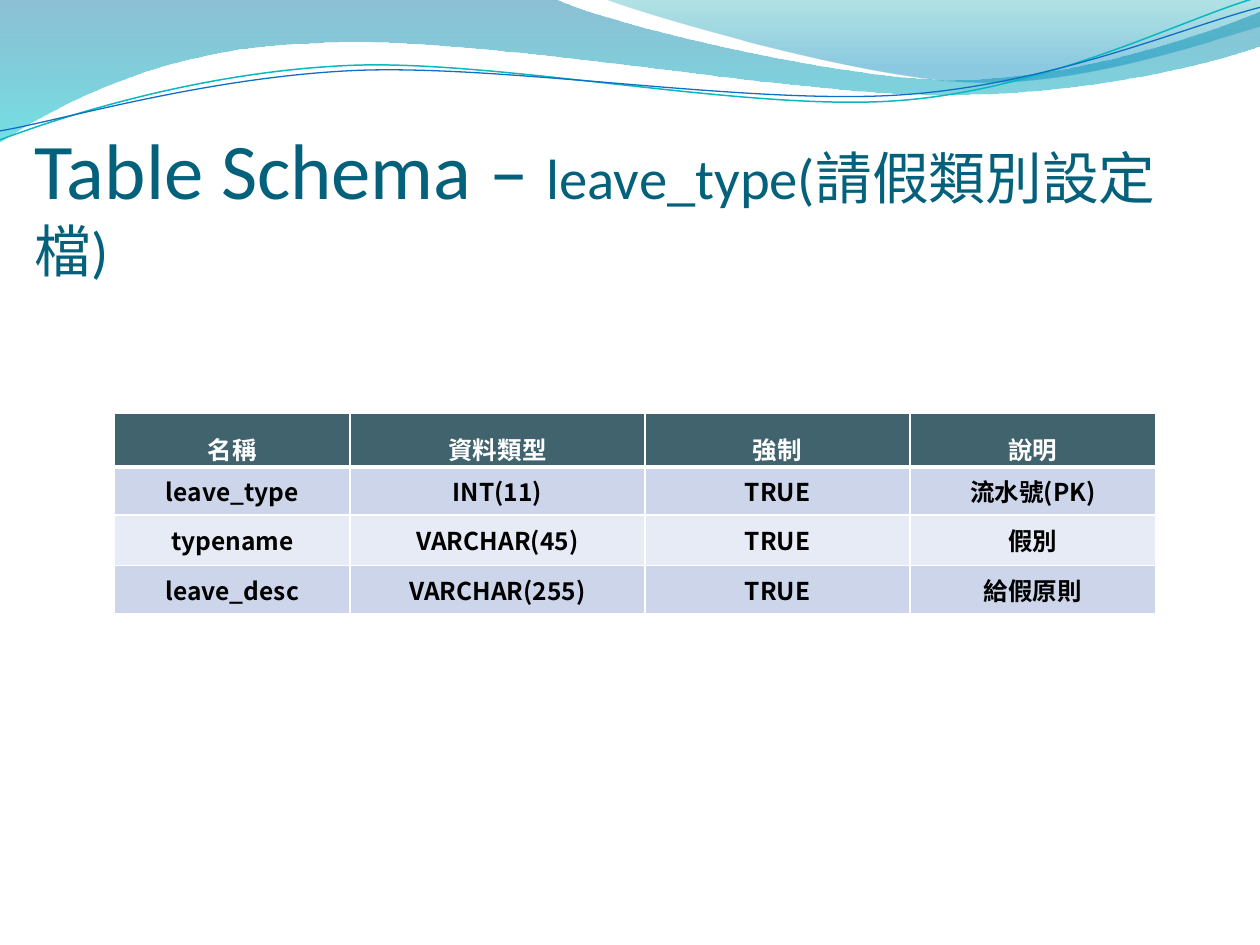
from dataclasses import dataclass
from typing import Optional

from lxml.etree import SubElement
from pptx import Presentation
from pptx.dml.color import RGBColor
from pptx.enum.text import MSO_ANCHOR as Anchor, PP_ALIGN as Align
from pptx.oxml import parse_xml
from pptx.oxml.ns import nsdecls, qn
from pptx.util import Cm, Pt

COLORS = {
    "title": "04617B", "header": "02303E", "white": "FFFFFF", "black": "000000",
    "band_dark": "CCD5EA", "band_light": "E7EBF5",
    "deep": "0074A1", "cyan": "00C6CF", "teal": "00A1A9", "sky": "008BBF",
    "teal_line": "0AB8BF", "blue_line": "0F6FC6",
}


@dataclass
class Stop:
    position: int
    color: str
    opacity: int


@dataclass
class Wave:
    """Start point in cm, then segments: one point is a line, three are a curve."""
    start: tuple
    segments: list
    stops: Optional[list] = None
    line_color: str = ""
    line_width: float = 0


WAVES = [
    Wave((0, 0), [
        [(11.18, -0.03)],
        [(12.09, 0.43), (16.87, 1.6), (19.25, 1.6)],
        [(21.67, 1.6), (24.33, 0.66), (25.4, 0.23)],
        [(25.43, 0.91)],
        [(24.97, 1.12), (22.1, 1.93), (18.95, 1.91)],
        [(15.8, 1.91), (9.7, 0.71), (6.53, 0.86)],
        [(3.28, 0.91), (1.17, 2.11), (-0.03, 2.87)],
        [(0, 0)],
    ], stops=[Stop(0, "deep", 45), Stop(100, "cyan", 55)]),
    Wave((12.17, -0.03), [
        [(12.93, 0.28), (17.32, 1.57), (19.53, 1.65)],
        [(21.74, 1.75), (24.41, 0.81), (25.4, 0.53)],
        [(25.4, 0)],
        [(12.17, -0.03)],
    ], stops=[Stop(0, "teal", 30), Stop(80, "sky", 45)]),
    Wave((0, 2.82), [
        [(1.22, 2.36), (4.01, 1.45), (7.04, 1.32)],
        [(10.03, 1.19), (15.06, 2.26), (18.11, 2.03)],
        [(21.16, 1.8), (23.83, 0.38), (25.35, -0.05)],
    ], line_color="teal_line", line_width=0.85),
    Wave((0, 2.64), [
        [(1.19, 2.44), (4.17, 1.55), (7.19, 1.42)],
        [(10.24, 1.3), (15.16, 2.13), (18.21, 1.91)],
        [(21.23, 1.7), (23.9, 0.53), (25.4, 0.15)],
    ], line_color="blue_line", line_width=0.75),
]

COLUMN_WIDTHS = [4.75, 5.94, 5.35, 4.95]
ROW_HEIGHTS = [0.99, 0.61, 1.01, 0.61]
ROWS = [
    ("名稱", "資料類型", "強制", "說明"),
    ("leave_type", "INT(11)", "TRUE", "流水號(PK)"),
    ("typename", "VARCHAR(45)", "TRUE", "假別"),
    ("leave_desc", "VARCHAR(255)", "TRUE", "給假原則"),
]


def color(name: str) -> RGBColor:
    return RGBColor.from_string(COLORS[name])


def apply_format(target, values: dict) -> None:
    for name, value in values.items():
        setattr(target, name, value)


def add_span(para, text: str, font: str, size: float, color_name: str, bold: bool) -> None:
    span = para.add_run()
    span.text = text
    apply_format(span.font, {"name": font, "size": Pt(size), "bold": bold})
    span.font.color.rgb = color(color_name)


def bend_segments(shape, segments: list) -> None:
    """Turn the straight pieces of an outline into cubic curves."""
    lines = list(shape._element.iter(qn("a:lnTo")))
    for line, segment in zip(lines, segments):
        if len(segment) == 3:
            points = "".join(f'<a:pt x="{Cm(x) - shape.left}" y="{Cm(y) - shape.top}"/>'
                             for x, y in segment)
            curve = parse_xml(f'<a:cubicBezTo {nsdecls("a")}>{points}</a:cubicBezTo>')
            line.getparent().replace(line, curve)


def set_gradient(shape, stops: list) -> None:
    """Vertical gradient with transparent stops."""
    shape.fill.gradient()
    old = shape._element.spPr.find(qn("a:gradFill"))
    items = "".join(
        f'<a:gs pos="{stop.position * 1000}"><a:srgbClr val="{COLORS[stop.color]}">'
        f'<a:alpha val="{stop.opacity * 1000}"/></a:srgbClr></a:gs>' for stop in stops)
    new = parse_xml(f'<a:gradFill {nsdecls("a")} rotWithShape="1"><a:gsLst>{items}</a:gsLst>'
                    '<a:lin ang="5400000" scaled="0"/></a:gradFill>')
    old.getparent().replace(old, new)


def draw_wave(page, wave: Wave) -> None:
    anchors = [wave.start] + [segment[-1] for segment in wave.segments]
    start, *others = [(Cm(x), Cm(y)) for x, y in anchors]
    builder = page.shapes.build_freeform(*start)
    builder.add_line_segments(others, close=bool(wave.stops))
    shape = builder.convert_to_shape()
    bend_segments(shape, wave.segments)
    shape.shadow.inherit = False
    if wave.stops:
        set_gradient(shape, wave.stops)
        shape.line.fill.background()
    else:
        shape.fill.background()
        shape.line.color.rgb = color(wave.line_color)
        shape.line.width = Pt(wave.line_width)


def draw_title(page) -> None:
    box = page.shapes.title
    page.shapes._spTree.append(box._element)  # in front of the waves
    apply_format(box, {"left": Cm(0.7), "top": Cm(2.54),
                       "width": Cm(24), "height": Cm(3.18)})
    apply_format(box.text_frame, {
        "margin_left": 0, "margin_right": 0, "margin_top": Cm(0.13), "margin_bottom": 0,
        "vertical_anchor": Anchor.BOTTOM, "word_wrap": True})
    para = box.text_frame.paragraphs[0]
    para.alignment = Align.LEFT
    for text, size in (("Table Schema – ", 45), ("leave_type(請假類別設定檔)", 32.4)):
        add_span(para, text, "Calibri", size, "title", False)


def set_borders(cell, bottom_width: float) -> None:
    properties = cell._tc.get_or_add_tcPr()
    for side, width in (("L", 1), ("R", 1), ("T", 1), ("B", bottom_width)):
        line = SubElement(properties, qn(f"a:ln{side}"), w=str(Pt(width)))
        fill = SubElement(line, qn("a:solidFill"))
        SubElement(fill, qn("a:srgbClr"), val=COLORS["white"])


def format_cell(cell, text: str, row: int) -> None:
    header = row == 0
    set_borders(cell, 3 if header else 1)
    cell.fill.solid()
    para = cell.text_frame.paragraphs[0]
    para.alignment = Align.CENTER
    if header:
        cell.fill.fore_color.rgb = color("header")
        paint = cell._tc.tcPr.find(qn("a:solidFill")).find(qn("a:srgbClr"))
        SubElement(paint, qn("a:alpha"), val="75000")
        apply_format(cell, {"margin_left": Cm(0.2), "margin_right": Cm(0.2),
                            "margin_top": 0, "margin_bottom": 0})
        para.line_spacing = 1.5
        add_span(para, text, "Calibri", 14, "white", True)
    else:
        cell.fill.fore_color.rgb = color("band_dark" if row % 2 else "band_light")
        add_span(para, text, "Noto Sans CJK SC", 14, "black", True)


def draw_table(page) -> None:
    table = page.shapes.add_table(
        len(ROWS), len(COLUMN_WIDTHS), Cm(2.31), Cm(8.33),
        Cm(sum(COLUMN_WIDTHS)), Cm(sum(ROW_HEIGHTS))).table
    for column, width in zip(table.columns, COLUMN_WIDTHS):
        column.width = Cm(width)
    for index, (row, height, texts) in enumerate(zip(table.rows, ROW_HEIGHTS, ROWS)):
        row.height = Cm(height)
        for cell, text in zip(row.cells, texts):
            format_cell(cell, text, index)


def main() -> None:
    deck = Presentation()
    apply_format(deck, {"slide_width": Cm(25.4), "slide_height": Cm(19.05)})
    page = deck.slides.add_slide(deck.slide_layouts[5])
    for wave in WAVES:
        draw_wave(page, wave)
    draw_title(page)
    draw_table(page)
    deck.save("out.pptx")


if __name__ == "__main__":
    main()
